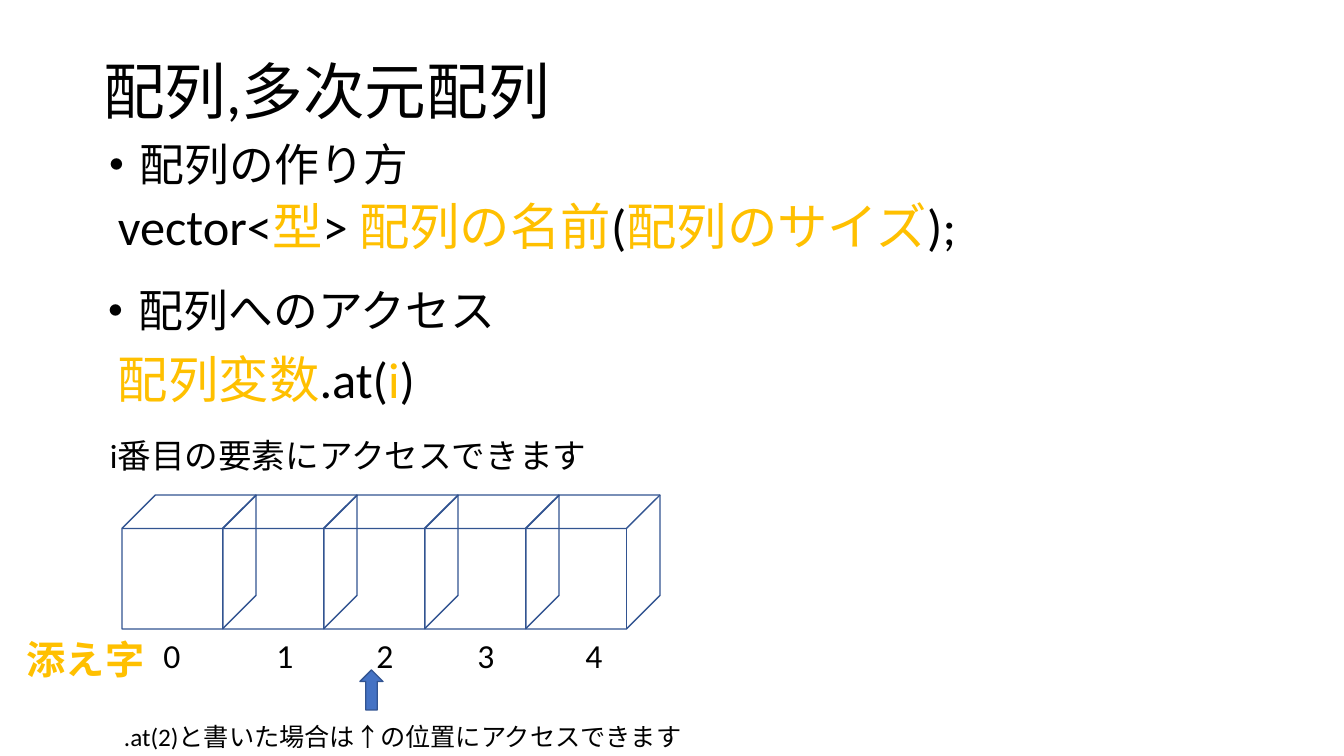
"""Build the slide that explains arrays and how to access their elements."""
from dataclasses import dataclass

from pptx import Presentation
from pptx.dml.color import RGBColor
from pptx.enum.shapes import MSO_SHAPE as Preset
from pptx.enum.text import MSO_ANCHOR as Anchor, MSO_AUTO_SIZE as AutoSize, PP_ALIGN as Align
from pptx.util import Emu, Pt

SCALE = 914400 / 100.8
FONT = "Calibri"
BLACK, GOLD, BLUE, NAVY = "000000", "FFC000", "4472C4", "325491"


@dataclass(frozen=True)
class Span:
    text: str
    color: str = BLACK
    bold: bool = False


@dataclass(frozen=True)
class Box:
    left: int
    top: int
    width: int
    height: int


@dataclass(frozen=True)
class Line:
    box: Box
    size: int
    spans: tuple[Span, ...]
    spacing: float = 1.0
    before: int = 0
    align: Align = Align.LEFT
    anchor: Anchor = Anchor.TOP


def px(value: int) -> Emu:
    """Convert whole pixels to EMU."""
    return Emu(round(value * SCALE))


def rgb(color: str) -> RGBColor:
    """Convert a hex string to a colour."""
    return RGBColor.from_string(color)


def place(box: Box) -> tuple[Emu, ...]:
    """Return left, top, width and height in EMU."""
    return px(box.left), px(box.top), px(box.width), px(box.height)


def write_line(shape, line: Line) -> None:
    """Fill a text shape with one formatted paragraph."""
    shape.left, shape.top, shape.width, shape.height = place(line.box)
    frame = shape.text_frame
    frame.word_wrap = True
    frame.auto_size = AutoSize.NONE
    frame.vertical_anchor = line.anchor
    para = frame.paragraphs[0]
    para.alignment = line.align
    para.line_spacing = line.spacing
    para.space_before = Pt(line.before)
    for span in line.spans:
        run = para.add_run()
        run.text = span.text
        run.font.name = FONT
        run.font.size = Pt(line.size)
        run.font.bold = span.bold
        run.font.color.rgb = rgb(span.color)


def add_line(page, line: Line) -> None:
    """Add a text box holding one line."""
    write_line(page.shapes.add_textbox(*place(line.box)), line)


def add_preset(page, preset: Preset, box: Box, fill: str | None = None) -> None:
    """Add an outlined preset shape, filled when a colour is given."""
    shape = page.shapes.add_shape(preset, *place(box))
    shape.shadow.inherit = False
    if fill:
        shape.fill.solid()
        shape.fill.fore_color.rgb = rgb(fill)
    else:
        shape.fill.background()
    shape.line.color.rgb = rgb(NAVY)
    shape.line.width = Pt(1)


def heading(left: int, top: int, text: str) -> Line:
    """Describe a bulleted section heading."""
    spans = (Span("・", bold=True), Span(text))
    return Line(Box(left, top, 1106, 64), 32, spans, spacing=0.9, before=10)


TITLE = Line(Box(93, 22, 1159, 146), 44, (Span("配列,多次元配列"),),
             spacing=0.9, anchor=Anchor.MIDDLE)
LINES = (
    heading(85, 138, "配列の作り方"),
    Line(Box(108, 190, 1140, 72), 36, (
        Span("vector<"), Span("型", GOLD), Span("> "), Span("配列の名前", GOLD),
        Span("("), Span("配列のサイズ", GOLD), Span(");"))),
    heading(84, 284, "配列へのアクセス"),
    Line(Box(108, 343, 914, 72), 36, (
        Span("配列変数", GOLD), Span(".at("), Span("i", GOLD), Span(")"))),
    Line(Box(100, 430, 866, 50), 24, (Span("i番目の要素にアクセスできます"),)),
    Line(Box(114, 716, 592, 40), 18,
         (Span(".at(2)と書いた場合は↑の位置にアクセスできます"),)),
    Line(Box(17, 630, 142, 57), 28, (Span("添え字", GOLD, True),)),
)
CUBE = 134
CUBE_STEP = 101
INDEX_CENTERS = (172, 285, 385, 486, 594)
INDEX_WIDTH = 50


def main() -> None:
    """Create and save the deck."""
    deck = Presentation()
    deck.slide_width, deck.slide_height = px(1344), px(756)
    page = deck.slides.add_slide(deck.slide_layouts[5])
    write_line(page.shapes.title, TITLE)
    for line in LINES:
        add_line(page, line)
    for index, center in enumerate(INDEX_CENTERS):
        add_preset(page, Preset.CUBE, Box(122 + index * CUBE_STEP, 495, CUBE, CUBE))
        label = Box(center - INDEX_WIDTH // 2, 630, INDEX_WIDTH, 50)
        add_line(page, Line(label, 24, (Span(str(index)),), align=Align.CENTER))
    add_preset(page, Preset.UP_ARROW, Box(360, 670, 23, 40), BLUE)
    deck.save("out.pptx")


main()
